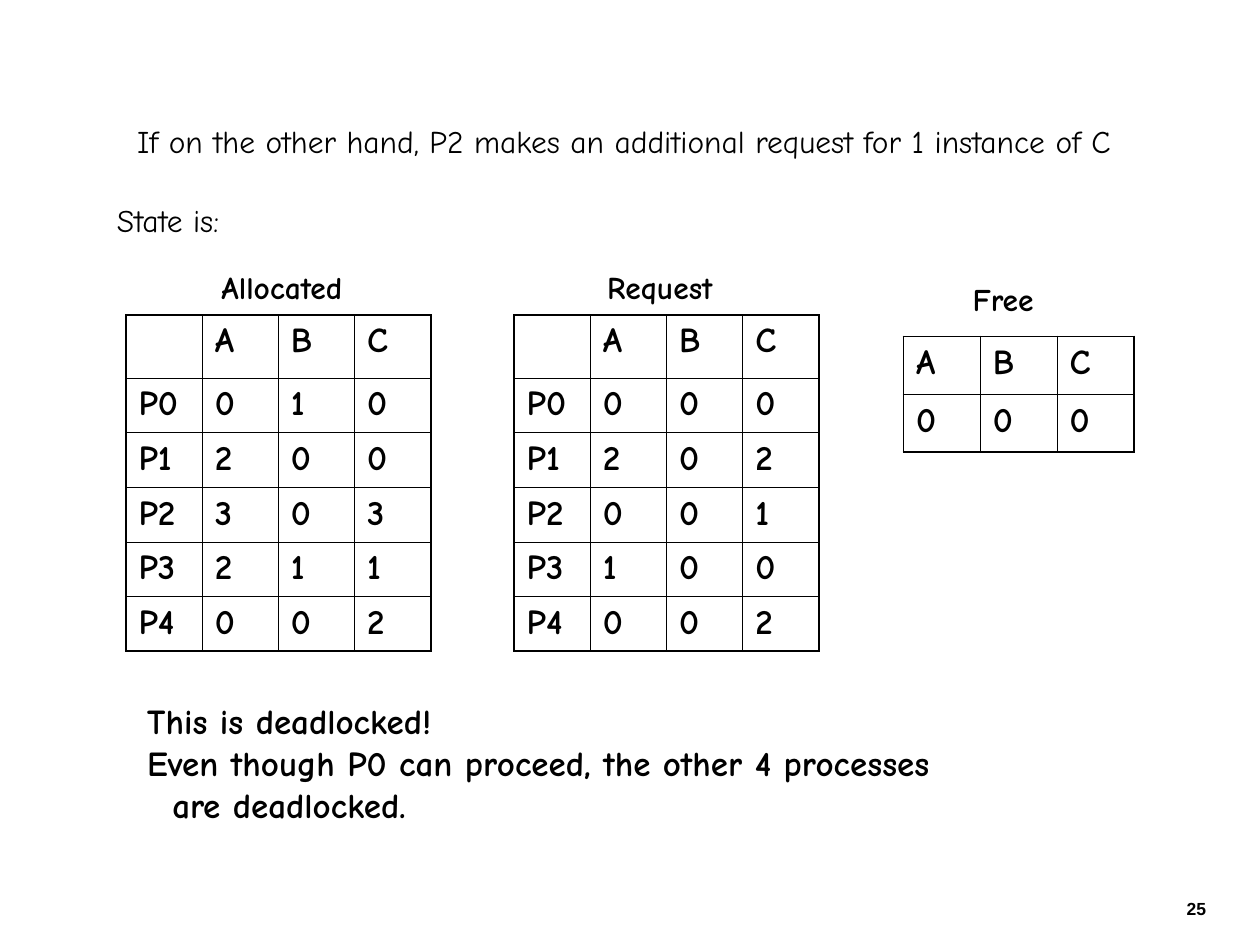
import lxml.etree
import pptx
import pptx.dml.color
import pptx.enum.text
import pptx.oxml.ns
import pptx.util

Inches = pptx.util.Inches
Pt = pptx.util.Pt
Align = pptx.enum.text.PP_ALIGN
Fit = pptx.enum.text.MSO_AUTO_SIZE
qn = pptx.oxml.ns.qn


def paint(hue):
    return pptx.dml.color.RGBColor.from_string(hue)


class Page:
    ink = "000000"
    face = "Comic Neue"
    thin, thick = 0.45, 1.08

    def __init__(self, deck):
        self.slide = deck.slides.add_slide(deck.slide_layouts[6])

    def style(self, font, **form):
        form = {"name": self.face, "size": 20, "bold": True} | form
        form["size"] = Pt(form["size"])
        for key, value in form.items():
            setattr(font, key, value)
        font.color.rgb = paint(self.ink)

    def text(self, lines, left, top, width, height, indents=(), align=Align.LEFT, **form):
        box = self.slide.shapes.add_textbox(*map(Inches, (left, top, width, height)))
        frame = box.text_frame
        frame.text = "\n".join(lines)
        frame.word_wrap = False
        frame.auto_size = Fit.SHAPE_TO_FIT_TEXT
        for para in frame.paragraphs:
            para.alignment = align
            self.style(para.runs[0].font, **form)
        for row, indent in indents:
            props = frame.paragraphs[row]._p.get_or_add_pPr()
            props.set("marL", str(Inches(indent)))

    def edge(self, cell, side, width):
        props = cell._tc.get_or_add_tcPr()
        line = lxml.etree.SubElement(props, qn("a:ln" + side), w=str(Pt(width)))
        fill = lxml.etree.SubElement(line, qn("a:solidFill"))
        lxml.etree.SubElement(fill, qn("a:srgbClr"), val=self.ink)

    def table(self, rows, left, top, width, heights):
        high, wide = len(rows), len(rows[0])
        spot = map(Inches, (left, top, width, sum(heights)))
        grid = self.slide.shapes.add_table(high, wide, *spot).table
        grid.first_row = grid.horz_banding = False
        for row, height in zip(grid.rows, heights):
            row.height = Inches(height)
        for r, row in enumerate(rows):
            for c, word in enumerate(row):
                cell = grid.cell(r, c)
                cell.text = word
                para = cell.text_frame.paragraphs[0]
                para.space_before = Pt(5)
                self.style(para.runs[0].font if word else para.font)
                outer = {"L": c == 0, "R": c == wide - 1, "T": r == 0, "B": r == high - 1}
                for side, rim in outer.items():
                    self.edge(cell, side, self.thick if rim else self.thin)
                cell.fill.background()


deck = pptx.Presentation()
deck.slide_width, deck.slide_height = Inches(10), Inches(7.5)
page = Page(deck)

page.text(["25"], 7.25, 7.08, 2.42, 0.25, align=Align.RIGHT, name="Arial", size=10)
page.text(["If on the other hand, P2 makes an additional request for 1 instance of C"],
          0.99, 0.92, 7.95, 0.4, size=18, bold=False)
page.text(["State is:"], 0.83, 1.55, 1.02, 0.4, size=18, bold=False)

needs = {1: ["010", "200", "303", "211", "002"],
         4.08: ["000", "202", "001", "100", "002"]}
for left, counts in needs.items():
    rows = [["", *"ABC"]] + [[f"P{n}", *count] for n, count in enumerate(counts)]
    page.table(rows, left, 2.5, 2.42, [0.5] + [0.43] * 5)
page.table(["ABC", "000"], 7.17, 2.67, 1.83, [0.46] * 2)

for label, left, top, width in [("Allocated", 1.66, 2.08, 1.2),
                                ("Request", 4.72, 2.08, 1.1),
                                ("Free", 7.62, 2.17, 0.75)]:
    page.text([label], left, top, width, 0.4, size=18)

page.text(["This is deadlocked!",
           "Even though P0 can proceed, the other 4 processes",
           "are deadlocked."], 1.07, 5.5, 6.5, 1.1, indents=[(2, 0.2)])

deck.save("out.pptx")
